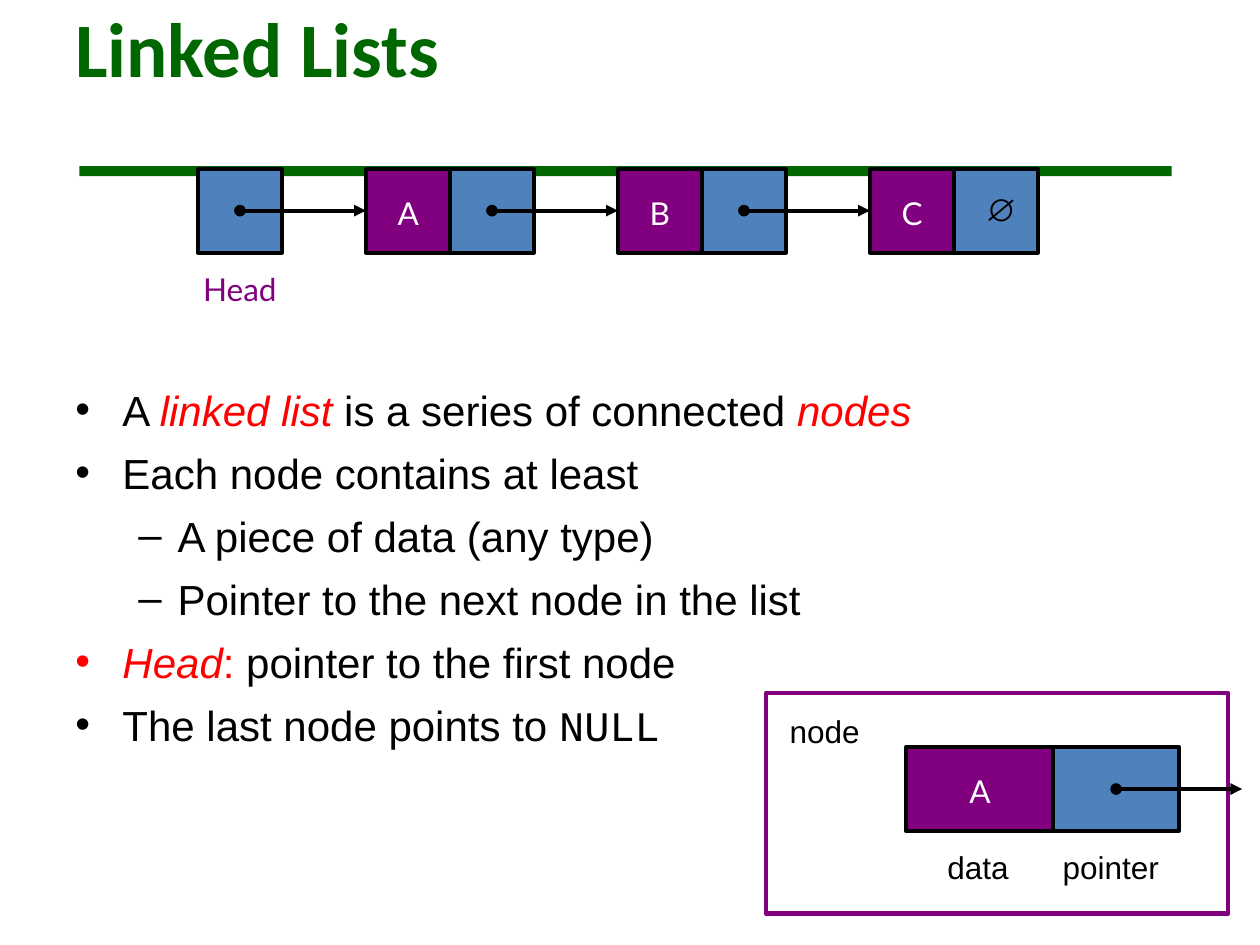
from lxml.etree import SubElement
from pptx import Presentation
from pptx.dml.color import RGBColor
from pptx.enum.shapes import MSO_CONNECTOR as Connector, MSO_SHAPE as Shape
from pptx.enum.text import MSO_ANCHOR as Anchor, PP_ALIGN as Align
from pptx.oxml.ns import qn
from pptx.util import Cm, Pt

TITLE = "Linked Lists"
NODES = ["A", "B", "C"]
# Each bullet: level, runs of (text, style); the bullet takes the first run's colour.
BULLETS = [
    (0, [("A ", ""), ("linked list ", "term"), ("is a series of connected ", ""), ("nodes", "term")]),
    (0, [("Each node contains at least", "")]),
    (1, [("A piece of data (any type)", "")]),
    (1, [("Pointer to the next node in the list", "")]),
    (0, [("Head", "term"), (": ", "accent"), ("pointer to the first node", "")]),
    (0, [("The last node points to ", ""), ("NULL", "code")]),
]
LEVELS = [("•", 0.95, 0.95), ("–", 2.06, 0.79)]  # mark, margin, hanging indent in cm

THEME = {
    "green": "006600", "blue": "4F81BD", "purple": "800080",
    "red": "FF0000", "black": "000000", "white": "FFFFFF",
    "title_font": "Calibri", "body_font": "Arial", "node_font": "Lato", "code_font": "Courier New",
    "title_size": 44, "body_size": 24, "label_size": 18,
    "line": 2.25, "frame": 2.5, "bullet_gap": 7.2,
}
RUN_STYLES = {
    "": {},
    "term": {"color": "red", "italic": True},
    "accent": {"color": "red"},
    "code": {"font": "code_font"},
}

PITCH = 5.08  # distance between nodes
CELL = PITCH / 3
ROW_TOP = 3.4
HEAD_LEFT = 3.99
ARROW = 1.5 * CELL
LABEL_HEIGHT = 1.02

presentation = Presentation()
presentation.slide_width, presentation.slide_height = Cm(25.4), Cm(19.05)
slide = presentation.slides.add_slide(presentation.slide_layouts[6])


def theme_color(name):
    return RGBColor.from_string(THEME[name])


def add_box(left, top, width, height, fill=None, line=None, weight="line"):
    shape = slide.shapes.add_shape(Shape.RECTANGLE, Cm(left), Cm(top), Cm(width), Cm(height))
    shape.shadow.inherit = False
    if fill:
        shape.fill.solid()
        shape.fill.fore_color.rgb = theme_color(fill)
    else:
        shape.fill.background()
    if line:
        shape.line.color.rgb = theme_color(line)
        shape.line.width = Pt(THEME[weight])
    else:
        shape.line.fill.background()


def add_run(paragraph, text, size="body_size", font="body_font", color="black", bold=False, italic=False):
    run = paragraph.add_run()
    run.text = text
    run.font.size, run.font.name = Pt(THEME[size]), THEME[font]
    run.font.bold, run.font.italic = bold, italic
    run.font.color.rgb = theme_color(color)


def add_frame(left, top, width, height, wrap=True, anchor=Anchor.TOP):
    frame = slide.shapes.add_textbox(Cm(left), Cm(top), Cm(width), Cm(height)).text_frame
    frame.word_wrap, frame.vertical_anchor = wrap, anchor
    return frame


def add_label(text, left, top, width, align=Align.LEFT, **style):
    frame = add_frame(left, top, width, LABEL_HEIGHT, wrap=align == Align.LEFT)
    paragraph = frame.paragraphs[0]
    paragraph.alignment = align
    add_run(paragraph, text, size="label_size", **style)


def add_centered_label(text, center, top, width=0.91, **style):
    add_label(text, center - width / 2, top, width, align=Align.CENTER, **style)


def add_pointer(left, y):
    """Draw an arrow with a round tail, starting at (left, y)."""
    arrow = slide.shapes.add_connector(Connector.STRAIGHT, Cm(left), Cm(y), Cm(left + ARROW), Cm(y))
    arrow.line.color.rgb = theme_color("black")
    arrow.line.width = Pt(THEME["line"])
    line = arrow.line._get_or_add_ln()
    SubElement(line, qn("a:headEnd"), type="oval")
    SubElement(line, qn("a:tailEnd"), type="triangle")
    SubElement(arrow._element.spPr, qn("a:effectLst"))


def add_node(name, left, top, data_width=CELL, pointer_width=CELL, last=False):
    """Draw a data cell followed by a pointer cell; the last node points to nothing."""
    pointer_left = left + data_width
    center = pointer_left + pointer_width / 2
    add_box(pointer_left, top, pointer_width, CELL, fill="blue", line="black")
    add_box(left, top, data_width, CELL, fill="purple", line="black")
    add_centered_label(name, left + data_width / 2, top + 0.38, font="node_font", color="white")
    if last:
        add_centered_label("∅", center + 0.05, top + 0.3, width=1.02)
    else:
        add_pointer(center, top + CELL / 2)


def add_bullet(paragraph, level, runs):
    mark, margin, hanging = LEVELS[level]
    paragraph.level = level
    paragraph.space_before = Pt(THEME["bullet_gap"])
    properties = paragraph._p.get_or_add_pPr()
    properties.set("marL", str(Cm(margin)))
    properties.set("indent", str(-Cm(hanging)))
    bullet_color = RUN_STYLES[runs[0][1]].get("color", "black")
    SubElement(SubElement(properties, qn("a:buClr")), qn("a:srgbClr"), val=THEME[bullet_color])
    SubElement(properties, qn("a:buFont"), typeface=THEME["body_font"])
    SubElement(properties, qn("a:buChar"), char=mark)
    for text, style in runs:
        add_run(paragraph, text, **RUN_STYLES[style])


# Title and rule
add_box(1.6, 3.35, 22.02, 0.2, fill="green")
title = add_frame(1.27, -0.64, 22.86, 3.18, anchor=Anchor.MIDDLE)
add_run(title.paragraphs[0], TITLE, size="title_size", font="title_font", color="green", bold=True)

# Bullets
body = add_frame(1.27, 7.62, 21.79, 8.46)
for index, (level, runs) in enumerate(BULLETS):
    add_bullet(body.add_paragraph() if index else body.paragraphs[0], level, runs)

# Linked list
add_box(HEAD_LEFT, ROW_TOP, CELL, CELL, fill="blue", line="black")
add_pointer(HEAD_LEFT + CELL / 2, ROW_TOP + CELL / 2)
add_centered_label("Head", HEAD_LEFT + CELL / 2, 5.31, width=2.08, font="node_font", color="purple")
for index, name in enumerate(NODES):
    add_node(name, HEAD_LEFT + 2 * CELL + index * PITCH, ROW_TOP, last=index == len(NODES) - 1)

# Single node in detail
add_box(15.44, 13.97, 9.32, 4.45, line="purple", weight="frame")
add_label("node", 15.67, 14.22, 2.34)
add_node("A", 18.26, 15.06, data_width=2.97, pointer_width=2.54)
add_label("data", 18.85, 16.97, 1.9)
add_label("pointer", 21.17, 16.97, 2.74)

presentation.save("out.pptx")
